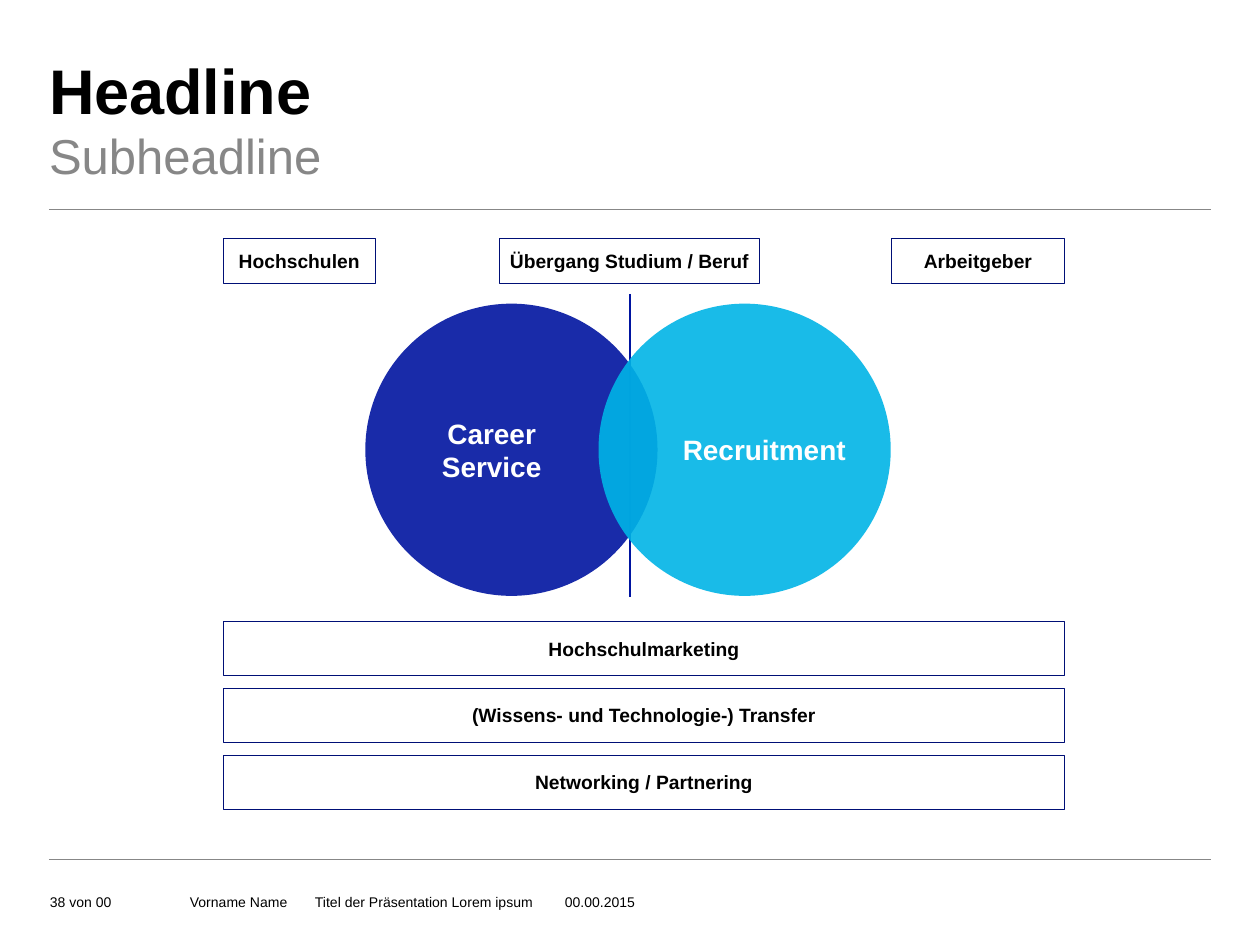
from dataclasses import dataclass

from lxml import etree
from pptx import Presentation
from pptx.dml.color import RGBColor
from pptx.enum import shapes, text
from pptx.oxml import ns
from pptx.util import Pt

COLORS = {
    "black": "000000",
    "white": "FFFFFF",
    "gray": "878787",
    "navy": "0014A0",
    "border": "000F76",
    "cyan": "00B4E6",
}
FONT = "Arial"
RULE_LEFT, RULE_RIGHT = 28, 692
FRAME_LEFT, FRAME_WIDTH = 127.5, 481
LABEL_TOP, LABEL_HEIGHT = 136, 26
BAR_TOP, BAR_HEIGHT, BAR_STEP = 355, 31, 38.25
CIRCLE_TOP, CIRCLE_SIZE = 173.5, 167


@dataclass(frozen=True)
class Caption:
    content: str
    left: float
    top: float
    width: float
    height: float
    size: float
    color: str = "black"
    bold: bool = False
    anchor: text.MSO_ANCHOR = text.MSO_ANCHOR.TOP
    spacing: float = 1.0
    tabs: tuple[float, ...] = ()


@dataclass(frozen=True)
class Box:
    content: str
    left: float
    top: float
    width: float
    height: float


@dataclass(frozen=True)
class Circle:
    content: str
    left: float
    color: str
    inset_left: float
    inset_right: float


@dataclass(frozen=True)
class Line:
    x1: float
    y1: float
    x2: float
    y2: float
    color: str
    weight: float


def rgb(name: str) -> RGBColor:
    return RGBColor.from_string(COLORS[name])


def write(shape, content: str, size: float, color: str, bold: bool,
          align: text.PP_ALIGN, anchor: text.MSO_ANCHOR,
          inset_left: float = 0, inset_right: float = 0) -> None:
    frame = shape.text_frame
    frame.word_wrap = True
    frame.vertical_anchor = anchor
    frame.margin_top = frame.margin_bottom = 0
    frame.margin_left, frame.margin_right = Pt(inset_left), Pt(inset_right)
    frame.text = content
    for paragraph in frame.paragraphs:
        paragraph.alignment = align
        paragraph.font.name = FONT
        paragraph.font.size = Pt(size)
        paragraph.font.bold = bold
        paragraph.font.color.rgb = rgb(color)


def draw_caption(slide, caption: Caption) -> None:
    shape = slide.shapes.add_textbox(
        Pt(caption.left), Pt(caption.top), Pt(caption.width), Pt(caption.height))
    write(shape, caption.content, caption.size, caption.color, caption.bold,
          text.PP_ALIGN.LEFT, caption.anchor)
    paragraph = shape.text_frame.paragraphs[0]
    if caption.tabs:
        stops = etree.Element(ns.qn("a:tabLst"))
        for position in caption.tabs:
            etree.SubElement(stops, ns.qn("a:tab"), pos=str(Pt(position)), algn="l")
        paragraph._p.get_or_add_pPr().insert(0, stops)
    if caption.spacing != 1:
        paragraph.line_spacing = caption.spacing


def draw_box(slide, box: Box) -> None:
    shape = slide.shapes.add_shape(
        shapes.MSO_SHAPE.RECTANGLE,
        Pt(box.left), Pt(box.top), Pt(box.width), Pt(box.height))
    shape.shadow.inherit = False
    shape.fill.solid()
    shape.fill.fore_color.rgb = rgb("white")
    shape.line.color.rgb = rgb("border")
    shape.line.width = Pt(0.5)
    write(shape, box.content, 11, "black", True,
          text.PP_ALIGN.CENTER, text.MSO_ANCHOR.MIDDLE)


def draw_circle(slide, circle: Circle) -> None:
    shape = slide.shapes.add_shape(
        shapes.MSO_SHAPE.OVAL,
        Pt(circle.left), Pt(CIRCLE_TOP), Pt(CIRCLE_SIZE), Pt(CIRCLE_SIZE))
    shape.shadow.inherit = False
    shape.fill.solid()
    shape.fill.fore_color.rgb = rgb(circle.color)
    fill_color = shape._element.spPr.find(".//" + ns.qn("a:srgbClr"))
    etree.SubElement(fill_color, ns.qn("a:alpha"), val="90000")
    shape.line.fill.background()
    write(shape, circle.content, 16, "white", True,
          text.PP_ALIGN.CENTER, text.MSO_ANCHOR.MIDDLE,
          circle.inset_left, circle.inset_right)


def draw_line(slide, line: Line) -> None:
    connector = slide.shapes.add_connector(
        shapes.MSO_CONNECTOR.STRAIGHT,
        Pt(line.x1), Pt(line.y1), Pt(line.x2), Pt(line.y2))
    connector.line.color.rgb = rgb(line.color)
    connector.line.width = Pt(line.weight)
    etree.SubElement(connector._element.spPr, ns.qn("a:effectLst"))


def main() -> None:
    presentation = Presentation()
    presentation.slide_width, presentation.slide_height = Pt(720), Pt(540)
    slide = presentation.slides.add_slide(presentation.slide_layouts[6])

    for rule_y in (119.5, 491):
        draw_line(slide, Line(RULE_LEFT, rule_y, RULE_RIGHT, rule_y, "gray", 0.5))

    bottom = text.MSO_ANCHOR.BOTTOM
    captions = (
        Caption("Headline", 28, 29.5, 502, 44.5, 36, bold=True),
        Caption("Subheadline", 28, 68.5, 502, 39.5, 28, "gray", spacing=1.1),
        Caption("38 von 00", 28.5, 497, 76.5, 23, 8, anchor=bottom),
        Caption("Vorname Name\tTitel der Präsentation Lorem ipsum\t00.00.2015",
                108.5, 497, 535, 23, 8, anchor=bottom, tabs=(71.5, 214.25)),
    )
    for caption in captions:
        draw_caption(slide, caption)

    draw_circle(slide, Circle("Career\nService", 208.75, "navy", 0, 22.5))
    draw_line(slide, Line(360, 168, 360, 341, "navy", 1))

    labels = (
        ("Hochschulen", FRAME_LEFT, 87),
        ("Übergang Studium / Beruf", 285.25, 149),
        ("Arbeitgeber", 509.25, 99.25),
    )
    for content, left, width in labels:
        draw_box(slide, Box(content, left, LABEL_TOP, width, LABEL_HEIGHT))

    bars = ("Hochschulmarketing", "(Wissens- und Technologie-) Transfer",
            "Networking / Partnering")
    for row, content in enumerate(bars):
        draw_box(slide, Box(content, FRAME_LEFT, BAR_TOP + row * BAR_STEP,
                            FRAME_WIDTH, BAR_HEIGHT))

    draw_circle(slide, Circle("Recruitment", 342, "cyan", 22.5, 0))
    presentation.save("out.pptx")


if __name__ == "__main__":
    main()
